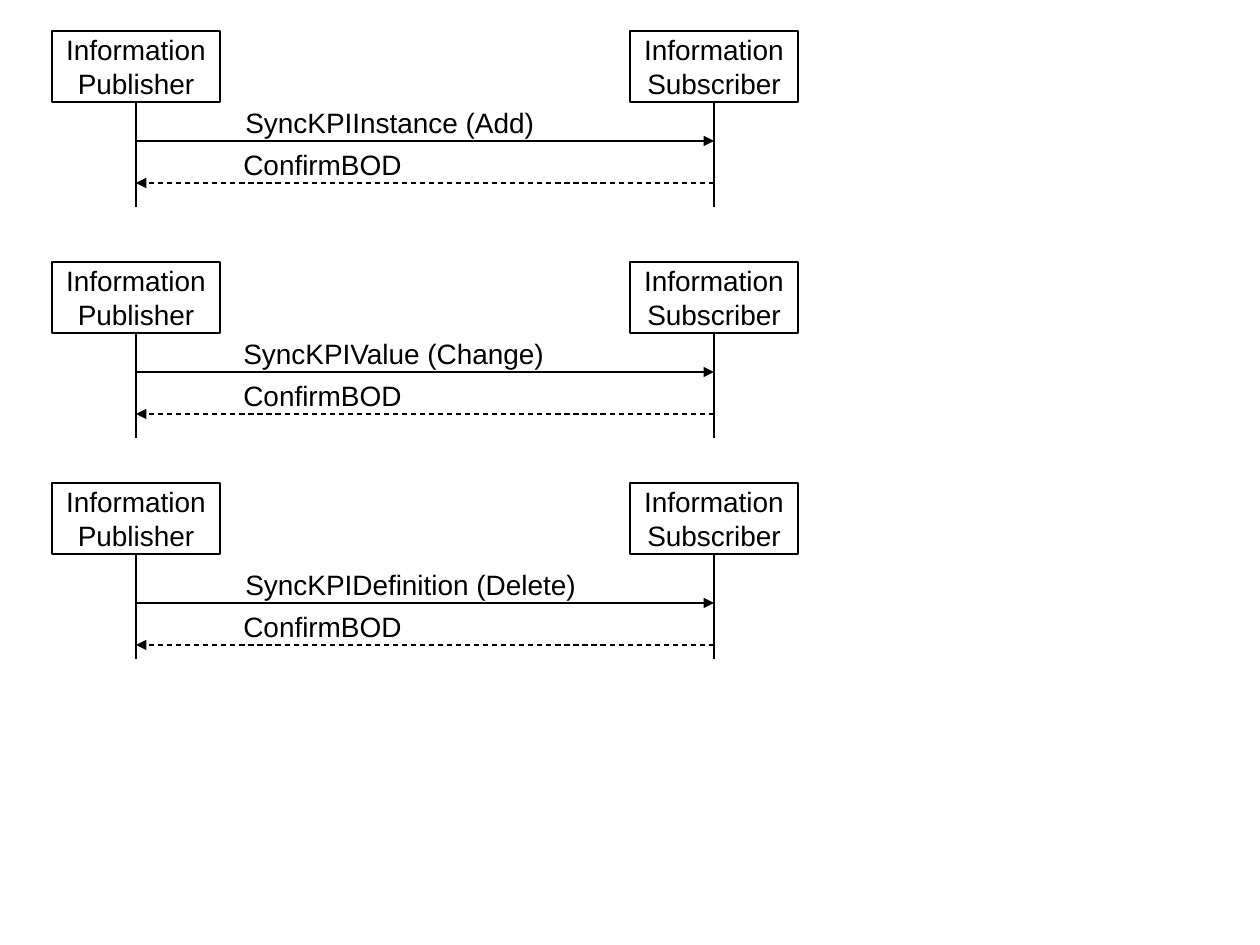
"""Build a slide of three publisher and subscriber message exchanges."""
from pptx import Presentation
from pptx.dml.color import RGBColor
from pptx.enum.dml import MSO_LINE
from pptx.enum.shapes import MSO_CONNECTOR, MSO_SHAPE
from pptx.enum.text import MSO_ANCHOR, MSO_AUTO_SIZE, PP_ALIGN
from pptx.oxml.ns import qn
from pptx.util import Pt
from lxml import etree

RECT = MSO_SHAPE.RECTANGLE
STRAIGHT = MSO_CONNECTOR.STRAIGHT
DASH = MSO_LINE.DASH
MIDDLE = MSO_ANCHOR.MIDDLE
FIT = MSO_AUTO_SIZE.SHAPE_TO_FIT_TEXT
LEFT, CENTER = PP_ALIGN.LEFT, PP_ALIGN.CENTER

THEME = {
    "ink": RGBColor(0, 0, 0),
    "paper": RGBColor(255, 255, 255),
    "font": "Arial",
    "size": Pt(16),
    "line": Pt(0.75),
}

ROLES = [("Subscriber", 630), ("Publisher", 52)]
REPLY = ("ConfirmBOD", 231, 186)
EXCHANGES = [
    {"top": 31, "arrow": 141, "request": ("SyncKPIInstance (Add)", 233, 317)},
    {"top": 262, "arrow": 372, "request": ("SyncKPIValue (Change)", 231, 329)},
    {"top": 483, "arrow": 603, "request": ("SyncKPIDefinition (Delete)", 233, 359)},
]

BOX_W, BOX_H = 168, 71
LIFELINE_H = 105
LABEL_H = 46
STEP = 42


def px(n):
    return round(n * 914400 / 126)


def write(tf, lines, align):
    tf.word_wrap = False
    tf.text = "\n".join(lines)
    for p in tf.paragraphs:
        p.alignment = align
        p.font.name = THEME["font"]
        p.font.size = THEME["size"]
        p.font.color.rgb = THEME["ink"]


def add_role(s, name, x, y):
    sp = s.shapes.add_shape(RECT, px(x), px(y), px(BOX_W), px(BOX_H))
    sp.shadow.inherit = False
    sp.fill.solid()
    sp.fill.fore_color.rgb = THEME["paper"]
    sp.line.color.rgb = THEME["ink"]
    sp.line.width = THEME["line"]
    sp.text_frame.vertical_anchor = MIDDLE
    write(sp.text_frame, ["Information", name], CENTER)


def add_line(s, x1, y1, x2, y2, arrow=False, dashed=False):
    cx = s.shapes.add_connector(STRAIGHT, px(x1), px(y1), px(x2), px(y2))
    cx.line.color.rgb = THEME["ink"]
    cx.line.width = THEME["line"]
    if dashed:
        cx.line.dash_style = DASH
    if arrow:
        ln = cx.line._get_or_add_ln()
        etree.SubElement(ln, qn("a:tailEnd"), type="triangle")
    etree.SubElement(cx._element.spPr, qn("a:effectLst"))


def add_message(s, label, start, end, y, dashed=False):
    text, x, w = label
    sp = s.shapes.add_textbox(px(x), px(y - STEP), px(w), px(LABEL_H))
    write(sp.text_frame, [text], LEFT)
    sp.text_frame.auto_size = FIT
    add_line(s, start, y, end, y, arrow=True, dashed=dashed)


def add_exchange(s, top, arrow, request):
    subscriber, publisher = [x + BOX_W / 2 for _, x in ROLES]
    bottom = top + BOX_H
    for name, x in ROLES:
        add_role(s, name, x, top)
    for x in (publisher, subscriber):
        add_line(s, x, bottom, x, bottom + LIFELINE_H)
    add_message(s, request, publisher, subscriber, arrow)
    add_message(s, REPLY, subscriber, publisher, arrow + STEP, dashed=True)


def main():
    prs = Presentation()
    prs.slide_width, prs.slide_height = px(1260), px(945)
    s = prs.slides.add_slide(prs.slide_layouts[6])
    for exchange in EXCHANGES:
        add_exchange(s, **exchange)
    prs.save("out.pptx")


if __name__ == "__main__":
    main()
